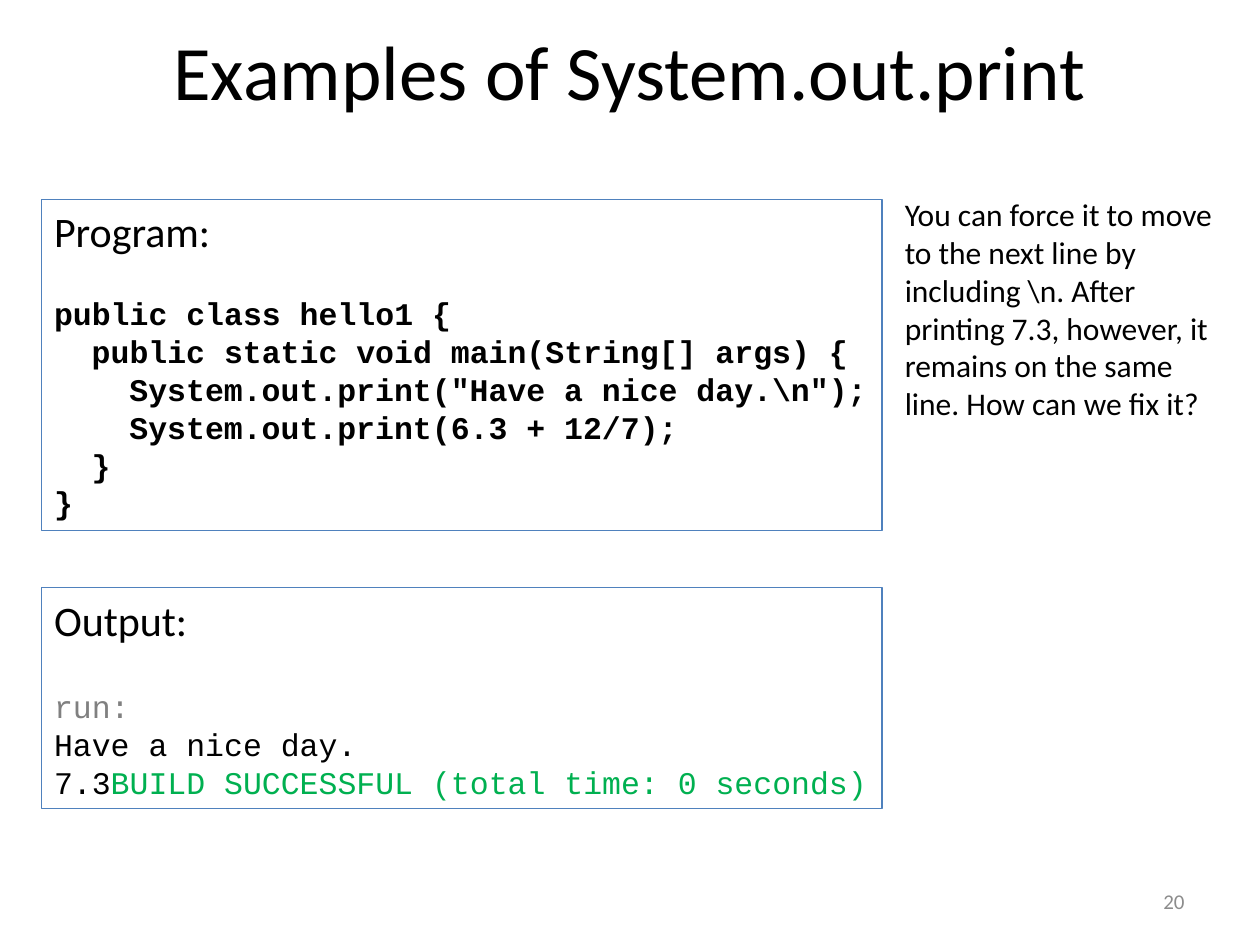
from pptx import Presentation
from pptx import util as u
from pptx.dml.color import RGBColor
from pptx.enum import shapes, text

SANS, MONO = "Calibri", "Courier New"
LEFT, WIDE = 0.84, 16.94
STEP = 0.76
CODE = [
    (0, "public class hello1 {"),
    (1, "public static void main(String[] args) {"),
    (2, 'System.out.print("Have a nice day.\\n");'),
    (2, "System.out.print(6.3 + 12/7);"),
    (1, "}"),
    (0, "}"),
]
NOTE = ("You can force it to move to the next line by including \\n. "
        "After printing 7.3, however, it remains on the same line. "
        "How can we fix it?")


def paint(code):
    """Turn a hex string into a colour."""
    return RGBColor.from_string(code)


def write(para, words, size=18, font=SANS, color="000000", bold=False,
          align=text.PP_ALIGN.LEFT, after=0, indent=0):
    """Add a formatted run to a paragraph and set its layout."""
    run = para.add_run()
    run.text = words
    run.font.size = u.Pt(size)
    run.font.name = font
    run.font.bold = bold
    run.font.color.rgb = paint(color)
    para.alignment = align
    para.space_before = u.Pt(0)
    para.space_after = u.Pt(after)
    if indent:
        para._p.get_or_add_pPr().set("marL", str(u.Cm(indent)))


def place(*sides):
    """Convert left, top, width and height to lengths."""
    return [u.Cm(side) for side in sides]


def panel(slide, top, high, label, gap):
    """Draw an outlined panel with a heading and return its text frame."""
    box = slide.shapes.add_shape(shapes.MSO_SHAPE.RECTANGLE,
                                 *place(LEFT, top, WIDE, high))
    box.shadow.inherit = False
    box.fill.background()
    box.line.color.rgb = paint("4F81BD")
    box.line.width = u.Pt(0.75)
    frame = box.text_frame
    frame.word_wrap = True
    frame.vertical_anchor = text.MSO_ANCHOR.TOP
    write(frame.paragraphs[0], label, size=24, after=gap)
    return frame


def label(slide, spot, words, anchor=text.MSO_ANCHOR.TOP, **style):
    """Add a wrapped text box."""
    frame = slide.shapes.add_textbox(*place(*spot)).text_frame
    frame.word_wrap = True
    frame.vertical_anchor = anchor
    write(frame.paragraphs[0], words, **style)


def head(slide, words):
    """Move and fill the title placeholder."""
    title = slide.shapes.title
    title.left, title.top, title.width, title.height = place(
        1.27, 0.2, 22.86, 2.41)
    title.text_frame.vertical_anchor = text.MSO_ANCHOR.MIDDLE
    write(title.text_frame.paragraphs[0], words, size=44,
          align=text.PP_ALIGN.CENTER)


def main():
    """Build the slide and save it."""
    deck = Presentation()
    deck.slide_width, deck.slide_height = u.Cm(25.4), u.Cm(19.05)
    slide = deck.slides.add_slide(deck.slide_layouts[5])
    head(slide, "Examples of System.out.print")

    code = panel(slide, 4.02, 6.68, "Program:", 22)
    for level, line in CODE:
        write(code.add_paragraph(), line, font=MONO, bold=True,
              indent=level * STEP)

    out = panel(slide, 11.85, 4.45, "Output:", 24.4)
    write(out.add_paragraph(), "run:", font=MONO, color="808080")
    write(out.add_paragraph(), "Have a nice day.", font=MONO)
    last = out.add_paragraph()
    write(last, "7.3", font=MONO)
    write(last, "BUILD SUCCESSFUL (total time: 0 seconds)", font=MONO,
          color="00B050")

    label(slide, (17.99, 3.81, 6.77, 4.88), NOTE)
    label(slide, (18.2, 17.66, 5.93, 1.01), "20",
          anchor=text.MSO_ANCHOR.MIDDLE, size=12, color="8C8C8C",
          align=text.PP_ALIGN.RIGHT)
    deck.save("out.pptx")


if __name__ == "__main__":
    main()
